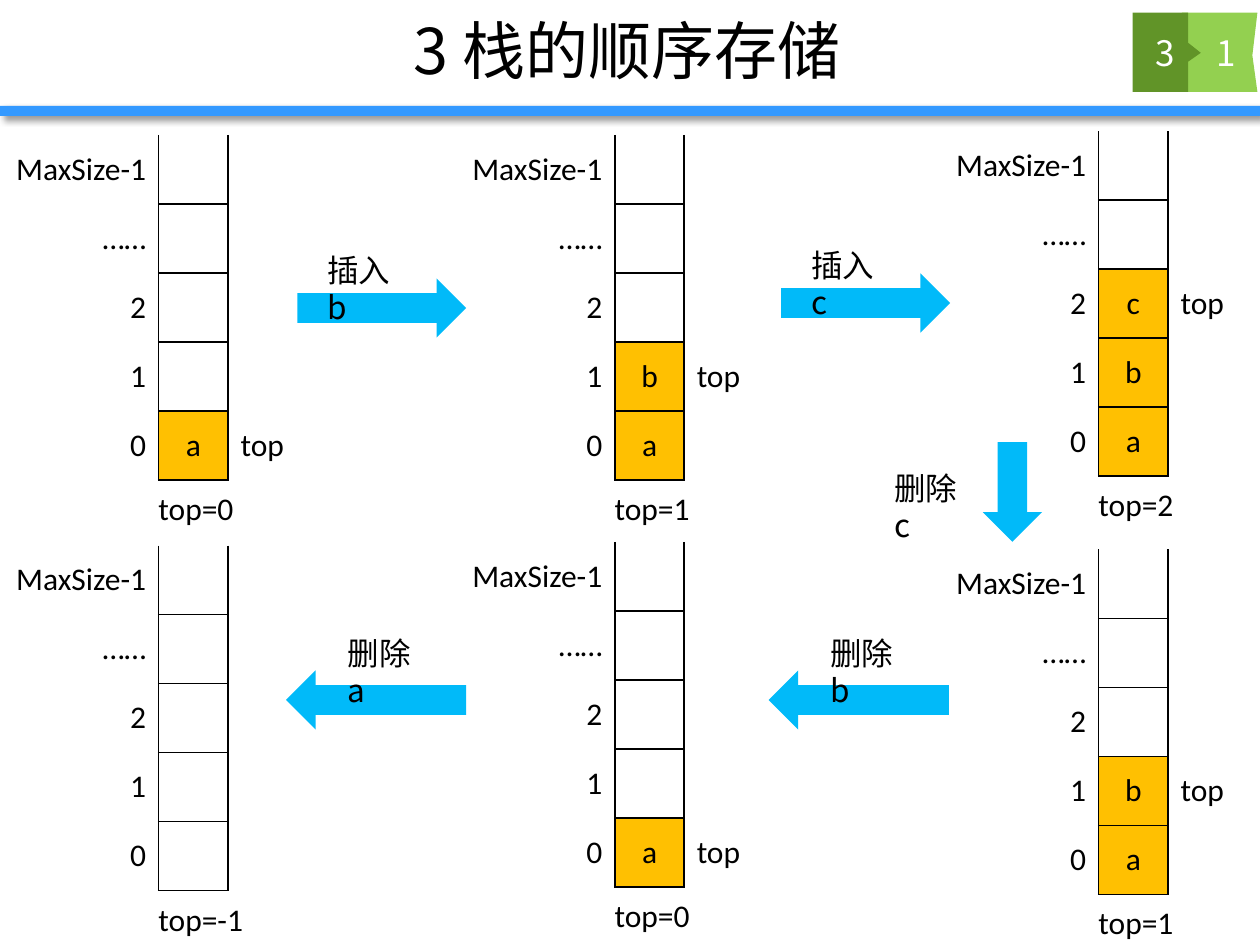
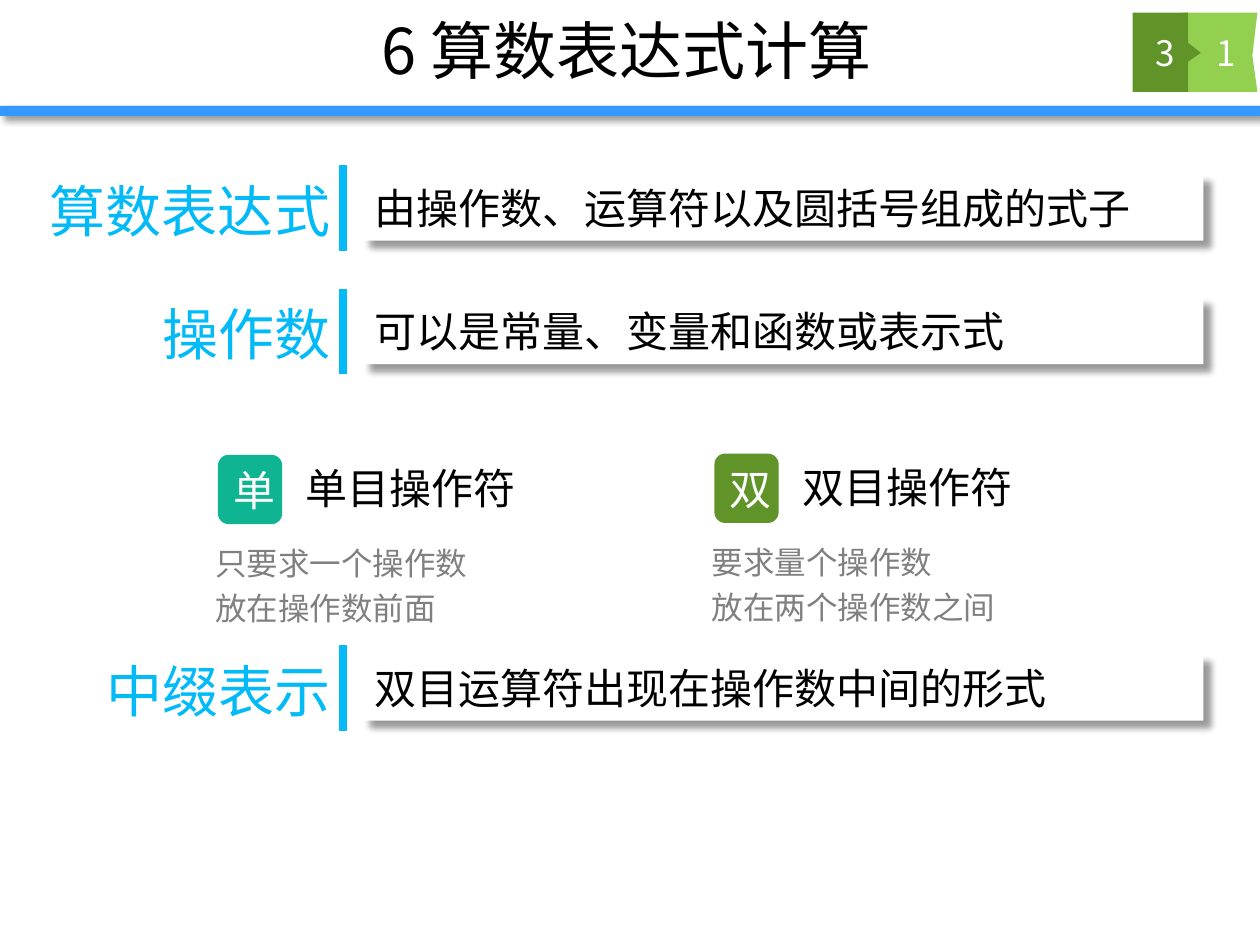
"""Build two slides on stacks: sequential storage and arithmetic expressions."""
from dataclasses import dataclass

from lxml.etree import SubElement
from pptx import Presentation
from pptx.dml.color import RGBColor
from pptx.enum.shapes import MSO_CONNECTOR, MSO_SHAPE as SHAPE
from pptx.enum.text import MSO_ANCHOR as ANCHOR, PP_ALIGN as ALIGN
from pptx.oxml.ns import qn
from pptx.util import Inches, Pt


@dataclass(frozen=True)
class Theme:
    latin: str = "Calibri"
    cjk: str = "Noto Sans CJK SC"
    black: str = "000000"
    white: str = "FFFFFF"
    gray: str = "808080"
    band: str = "3399FF"
    lime: str = "93D050"
    green: str = "619428"
    teal: str = "0FB493"
    sky: str = "01BAF9"
    term: str = "02BAF8"
    filled: str = "FFC001"
    title: int = 36
    heading: int = 32
    body: int = 24
    badge: int = 20
    small: int = 18


T = Theme()
U = Inches(0.01)
COLS, ROWS = 1000, 750
NO_GRID_STYLE = "{2D5ABB26-0587-4C30-8999-92F81FD0307C}"


def write(tf, text, size, color=T.black, font=T.cjk, align=ALIGN.LEFT, anchor=ANCHOR.TOP):
    tf.text = text
    tf.word_wrap = True
    tf.vertical_anchor = anchor
    for p in tf.paragraphs:
        p.alignment = align
        for r in p.runs:
            r.font.size = Pt(size)
            r.font.color.rgb = RGBColor.from_string(color)
            r.font.name = font
            SubElement(r.font._element, qn("a:ea"), typeface=font)


def finish(sp, fill, shadow=0):
    sp.fill.solid()
    sp.fill.fore_color.rgb = RGBColor.from_string(fill)
    sp.line.fill.background()
    sp.shadow.inherit = False
    if shadow:
        effects = sp.element.spPr.find(qn("a:effectLst"))
        outer = SubElement(effects, qn("a:outerShdw"), blurRad=str(Pt(4)), dist=str(Pt(shadow)),
                           dir="2700000", algn="tl", rotWithShape="0")
        tone = SubElement(outer, qn("a:srgbClr"), val=T.black)
        SubElement(tone, qn("a:alpha"), val="40000")


prs = Presentation()
prs.slide_width, prs.slide_height = U * COLS, U * ROWS
layout = prs.slide_layouts[5]
storage, expression = [prs.slides.add_slide(layout) for _ in range(2)]

band = storage.shapes.add_shape(SHAPE.RECTANGLE, 0, U * 84, U * COLS, U * 8)
finish(band, T.band, shadow=3)
shared = [band]
badge_outlines = [
    (T.lime, [(938, 10), (998, 10), (994, 44), (998, 73), (938, 73)]),
    (T.green, [(899, 10), (943, 10), (943, 34), (953, 42), (943, 49), (943, 73), (899, 73)]),
]
for color, points in badge_outlines:
    builder = storage.shapes.build_freeform(*points[0], scale=U)
    builder.add_line_segments(points[1:], close=True)
    sp = builder.convert_to_shape()
    finish(sp, color)
    shared.append(sp)
for number, sp in enumerate(shared, 20):
    sp.element.nvSpPr.cNvPr.set("id", str(number))
    layout.shapes.element.append(sp.element)

for s, heading in [(storage, "3 栈的顺序存储"), (expression, "6 算数表达式计算")]:
    title = s.shapes.title
    title.left, title.top, title.width, title.height = U * 98, U * 1, U * 799, U * 77
    write(title.text_frame, heading, T.title, align=ALIGN.CENTER, anchor=ANCHOR.MIDDLE)
    for left, digit in [(942, "1"), (894, "3")]:
        sp = s.shapes.add_textbox(U * left, U * 10, U * 62, U * 63)
        write(sp.text_frame, digit, T.badge, T.white, align=ALIGN.CENTER, anchor=ANCHOR.MIDDLE)

labels = ["MaxSize-1", "……", "2", "1", "0"]
aligns = [ALIGN.RIGHT, ALIGN.CENTER, ALIGN.LEFT]
widths = [130, 55, 55]
stacks = [
    (-4, 107, "a"), (358, 107, "ab"), (742, 104, "abc"),
    (742, 436, "ab"), (358, 430, "a"), (-4, 433, ""),
]
for left, top, items in stacks:
    frame = storage.shapes.add_table(5, 3, U * left, U * top, U * sum(widths), U * 274)
    table = frame.table
    table.first_row = table.horz_banding = False
    table._tbl.tblPr.find(qn("a:tableStyleId")).text = NO_GRID_STYLE
    for column, width in zip(table.columns, widths):
        column.width = U * width
    for row, label in enumerate(labels):
        level = len(labels) - 1 - row
        item = items[level] if level < len(items) else ""
        marker = "top" if level == len(items) - 1 else ""
        for col, text in enumerate([label, item, marker]):
            cell = table.cell(row, col)
            write(cell.text_frame, text, T.small, font=T.latin, align=aligns[col])
            cell.vertical_anchor = ANCHOR.MIDDLE
            sides = ["R", "LRTB" if row else "LRB", "L"][col]
            for side in sides:
                ln = SubElement(cell._tc.get_or_add_tcPr(), qn(f"a:ln{side}"), w=str(Pt(1)))
                SubElement(SubElement(ln, qn("a:solidFill")), qn("a:srgbClr"), val=T.black)
            cell.fill.solid()
            cell.fill.fore_color.rgb = RGBColor.from_string(T.filled if col == 1 and item else T.white)
    sp = storage.shapes.add_textbox(U * (left + 120), U * (top + 276), U * 90, U * 40)
    write(sp.text_frame, f"top={len(items) - 1}", T.small, font=T.latin)

steps = [
    ("插入b", 0, 236, 221, 134, 250, 194),
    ("插入c", 0, 620, 217, 134, 634, 190),
    ("删除c", 90, 764, 367, 79, 700, 367),
    ("删除b", 180, 610, 532, 143, 649, 498),
    ("删除a", 180, 227, 532, 143, 266, 498),
]
for step, angle, left, top, length, text_left, text_top in steps:
    sp = storage.shapes.add_shape(SHAPE.RIGHT_ARROW, U * left, U * top, U * length, U * 47)
    sp.rotation = angle
    finish(sp, T.sky)
    sp = storage.shapes.add_textbox(U * text_left, U * text_top, U * 85, U * 40)
    sp.text_frame.margin_right = U * 20
    write(sp.text_frame, step, T.small)

definitions = [
    (131, "算数表达式", "由操作数、运算符以及圆括号组成的式子"),
    (229, "操作数", "可以是常量、变量和函数或表示式"),
    (512, "中缀表示", "双目运算符出现在操作数中间的形式"),
]
for top, term, meaning in definitions:
    sp = expression.shapes.add_textbox(U * 28, U * (top + 4), U * 244, U * 64)
    write(sp.text_frame, term, T.heading, T.term, align=ALIGN.RIGHT)
    bar = expression.shapes.add_connector(
        MSO_CONNECTOR.STRAIGHT, U * 272, U * top, U * 272, U * (top + 68))
    bar.line.color.rgb = RGBColor.from_string(T.term)
    bar.line.width = Pt(4.5)
    SubElement(bar.element.spPr, qn("a:effectLst"))
    sp = expression.shapes.add_shape(SHAPE.RECTANGLE, U * 287, U * (top + 7), U * 668, U * 53)
    finish(sp, T.white, shadow=6)
    write(sp.text_frame, meaning, T.body, anchor=ANCHOR.MIDDLE)

operators = [
    (567, 360, T.green, "双目操作符", "要求量个操作数\n放在两个操作数之间"),
    (173, 361, T.teal, "单目操作符", "只要求一个操作数\n放在操作数前面"),
]
for left, top, color, name, notes in operators:
    sp = expression.shapes.add_shape(SHAPE.ROUNDED_RECTANGLE, U * left, U * top, U * 51, U * 55)
    finish(sp, color)
    write(sp.text_frame, name[0], T.body, T.white, align=ALIGN.CENTER, anchor=ANCHOR.MIDDLE)
    sp = expression.shapes.add_textbox(U * (left - 12), U * (top + 60), U * 260, U * 83)
    write(sp.text_frame, notes, T.small, T.gray)
    for p in sp.text_frame.paragraphs:
        p.line_spacing = 1.2
    sp = expression.shapes.add_textbox(U * (left + 60), U * (top + 1), U * 197, U * 50)
    write(sp.text_frame, name, T.body)

prs.save("out.pptx")
